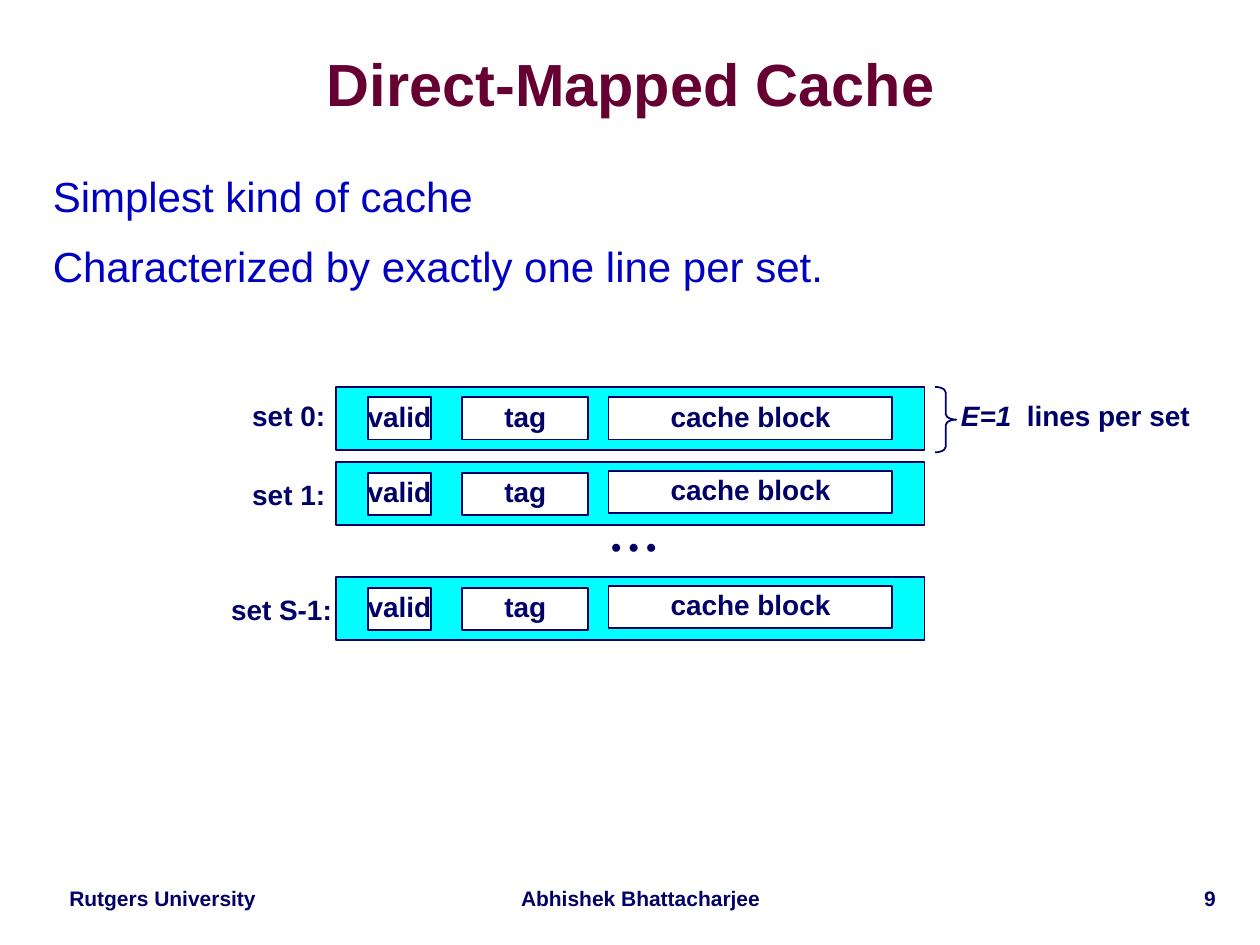
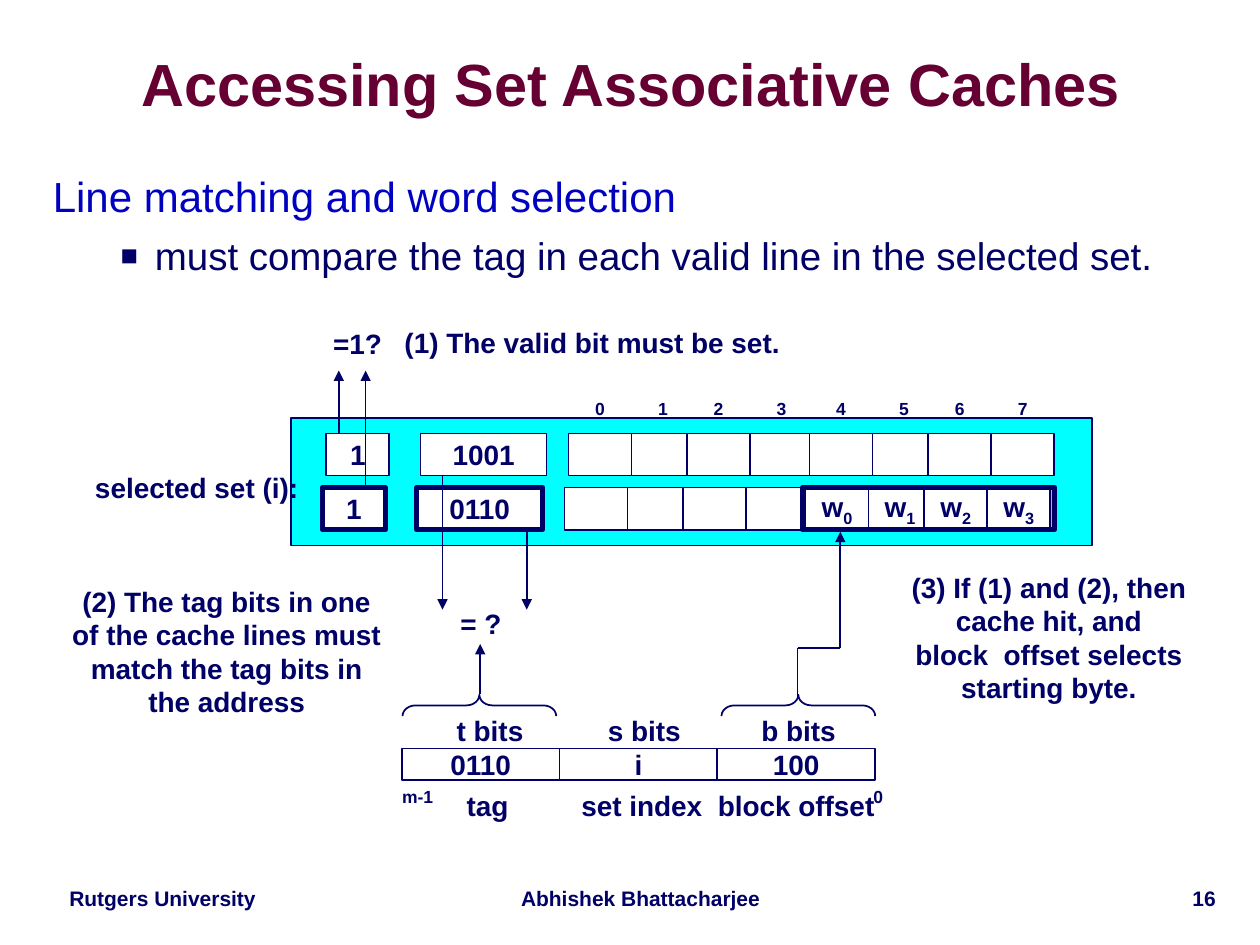
import pptx
import pptx.dml.color
import pptx.enum.shapes
import pptx.enum.text
import pptx.oxml.ns
import pptx.util

Cm, Pt = pptx.util.Cm, pptx.util.Pt
RGB = pptx.dml.color.RGBColor.from_string
SHAPE = pptx.enum.shapes.MSO_SHAPE
ALIGN = pptx.enum.text.PP_ALIGN
ANCHOR = pptx.enum.text.MSO_ANCHOR
NO_FIT = pptx.enum.text.MSO_AUTO_SIZE.NONE


class Theme:
    font = "Arial"
    navy = RGB("000066")
    maroon = RGB("660033")
    blue = RGB("0000C0")
    cyan = RGB("00FFFF")
    white = RGB("FFFFFF")
    title = Pt(34)
    body = Pt(24)
    sub = Pt(22)
    label = Pt(16)
    footer = Pt(12)
    small = Pt(10)
    thin = Pt(1)
    thick = Pt(3)


def put(s, box, text="", kind=None, fill=None, line=Theme.thin, size=Theme.label,
        align=ALIGN.CENTER, spacing=1.0, wrap=False):
    """Add a shape of the given kind, or a text box when kind is None.

    In text, a line break starts a paragraph and | starts a run.
    """
    box = [Cm(v) for v in box]
    if kind is None:
        sp = s.shapes.add_textbox(*box)
    else:
        sp = s.shapes.add_shape(kind, *box)
        sp.shadow.inherit = False
        sp.line.color.rgb = Theme.navy
        sp.line.width = line
        if fill is None:
            sp.fill.background()
        else:
            sp.fill.solid()
            sp.fill.fore_color.rgb = fill
    if text:
        tf = sp.text_frame
        tf.word_wrap = wrap
        tf.vertical_anchor = ANCHOR.MIDDLE
        for i, line_text in enumerate(text.split("\n")):
            p = tf.add_paragraph() if i else tf.paragraphs[0]
            p.alignment = align
            p.line_spacing = spacing
            for part in line_text.split("|"):
                r = p.add_run()
                r.text = part
                r.font.name, r.font.size, r.font.bold = Theme.font, size, True
                r.font.color.rgb = Theme.navy
    return sp


def connect(s, x1, y1, x2, y2, arrow=True):
    cx = s.shapes.add_connector(pptx.enum.shapes.MSO_CONNECTOR.STRAIGHT,
                                Cm(x1), Cm(y1), Cm(x2), Cm(y2))
    cx.line.color.rgb = Theme.navy
    cx.line.width = Theme.thin
    spPr = cx._element.spPr
    if arrow:
        ln = spPr.find(pptx.oxml.ns.qn("a:ln"))
        ln.append(ln.makeelement(pptx.oxml.ns.qn("a:tailEnd"), {"type": "triangle"}))
    spPr.append(spPr.makeelement(pptx.oxml.ns.qn("a:effectLst"), {}))


prs = pptx.Presentation()
prs.slide_width, prs.slide_height = Cm(25.4), Cm(19.05)

# Titles, lists and footers
pages = [
    ("Direct-Mapped Cache", "9",
     [(0, "Simplest kind of cache"),
      (0, "Characterized by exactly one line per set.")]),
    ("Accessing Set Associative Caches", "16",
     [(0, "Line matching and word selection"),
      (1, "must compare the tag in each valid line in the selected set.")]),
]
# per level: size, colour, line spacing, space before, left margin, first-line indent
levels = [(Theme.body, Theme.blue, 0.95, Pt(12.5), Cm(0), Cm(0)),
          (Theme.sub, Theme.navy, 1.0, Pt(6), Cm(2.06), Cm(-0.69))]

for title, number, items in pages:
    s = prs.slides.add_slide(prs.slide_layouts[1])

    sp = s.shapes.title
    sp.left, sp.top, sp.width, sp.height = Cm(0.79), Cm(0.69), Cm(23.85), Cm(2.16)
    tf = sp.text_frame
    tf.auto_size = NO_FIT
    tf.vertical_anchor = ANCHOR.MIDDLE
    tf.margin_left = tf.margin_right = tf.margin_top = tf.margin_bottom = 0
    p = tf.paragraphs[0]
    p.alignment = ALIGN.CENTER
    p.line_spacing = 0.87
    r = p.add_run()
    r.text = title
    r.font.name, r.font.size, r.font.bold = Theme.font, Theme.title, True
    r.font.color.rgb = Theme.maroon

    sp = s.placeholders[1]
    sp.left, sp.top, sp.width, sp.height = Cm(0.81), Cm(3.38), Cm(23.95), Cm(13.97)
    tf = sp.text_frame
    tf.auto_size = NO_FIT
    for i, (level, text) in enumerate(items):
        size, colour, spacing, before, margin, indent = levels[level]
        p = tf.add_paragraph() if i else tf.paragraphs[0]
        p.level = level
        p.line_spacing = spacing
        p.space_before = before if i else Pt(0)
        pPr = p._p.get_or_add_pPr()
        pPr.set("marL", str(margin))
        pPr.set("indent", str(indent))
        bullet = [("a:buSzPct", {"val": "75000"}), ("a:buChar", {"char": "■"})]
        for tag, attrs in bullet if level else [("a:buNone", {})]:
            pPr.append(pPr.makeelement(pptx.oxml.ns.qn(tag), attrs))
        r = p.add_run()
        r.text = text
        r.font.name, r.font.size = Theme.font, size
        r.font.color.rgb = colour

    for x, w, text, align in [(0.84, 4.88, "Rutgers University", ALIGN.CENTER),
                              (10.16, 5.51, "Abhishek Bhattacharjee", ALIGN.CENTER),
                              (20.75, 4.01, number, ALIGN.RIGHT)]:
        put(s, (x, 17.78, w, 0.71), text, size=Theme.footer, align=align,
            spacing=0.9, wrap=True)

direct, associative = prs.slides

# Direct-mapped cache: one line in each set
s = direct
cell_h = 0.85
# set top, block inset, label left, label top, label width, label
for top, block_dy, x, y, w, label in [(7.8, 0.21, 4.83, 7.95, 1.98, "set 0:"),
                                      (9.32, 0.17, 4.83, 9.53, 1.98, "set 1:"),
                                      (11.64, 0.17, 4.39, 11.86, 2.57, "set S-1:")]:
    put(s, (6.78, top, 11.86, 1.27), kind=SHAPE.RECTANGLE, fill=Theme.cyan)
    for left, dy, width, text in [(7.42, 0.21, 1.27, "valid"),
                                  (9.32, 0.21, 2.54, "tag"),
                                  (12.27, block_dy, 5.72, "cache block")]:
        put(s, (left, top + dy, width, cell_h), text, SHAPE.RECTANGLE, Theme.white,
            spacing=0.9)
    put(s, (x, y, w, 0.94), label, spacing=0.9)
put(s, (12.07, 10.59, 1.42, 0.94), "• • •", spacing=0.9)

brace = put(s, (18.85, 7.8, 0.43, 1.32), kind=SHAPE.RIGHT_BRACE)
brace.adjustments[0] = 0.258
sp = put(s, (19.1, 7.95, 5.16, 0.94), "E=1|  lines per set", spacing=0.9)
sp.text_frame.paragraphs[0].runs[0].font.italic = True

# Set associative cache: the selected set with its two lines
s = associative
put(s, (5.87, 8.43, 16.15, 2.57), kind=SHAPE.RECTANGLE, fill=Theme.cyan)
byte_x = [11.46 + half * 4.86 + dx for half in range(2) for dx in (0, 1.27, 2.39, 3.66)]
words = [""] * 4 + ["w|0", "w|1", "w|2", "w|3"]
for top, shift, tag, contents, border in [(9.83, -0.08, "0110", words, Theme.thick),
                                          (8.74, 0, "1001", [""] * 8, Theme.thin)]:
    for left, width, text in [(6.58, 1.27, "1"), (8.48, 2.54, tag)]:
        put(s, (left + shift, top, width, cell_h), text, SHAPE.RECTANGLE,
            Theme.white, border)
    for x, word in zip(byte_x, contents):
        sp = put(s, (x + shift, top, 1.27, cell_h), word, SHAPE.RECTANGLE, Theme.white)
        if word:
            r = sp.text_frame.paragraphs[0].runs[1]
            r._r.get_or_add_rPr().set("baseline", "-25000")
put(s, (16.18, 9.83, 5.08, cell_h), kind=SHAPE.RECTANGLE, line=Theme.thick)
for i, x in enumerate(byte_x):
    put(s, (x, 7.82, 1.27, cell_h), str(i), size=Theme.small)

# Address fields
for i, (bits, value, name) in enumerate([("t bits", "0110", "tag"),
                                         ("s bits", "i", "set index"),
                                         ("b bits", "100", "block offset")]):
    put(s, (8.1 + 3.18 * i, 15.09, 3.18, 0.64), value, SHAPE.RECTANGLE)
    put(s, (7.88 + 3.11 * i, 14.25, 4, 0.94), bits)
    put(s, (7.83 + 3.11 * i, 15.77, 4, 0.94), name)
put(s, (7.85, 15.72, 1.14, 0.69), "m-1", size=Theme.small)
put(s, (17.35, 15.72, 0.71, 0.69), "0", size=Theme.small)
for x in (9.45, 15.88):
    brace = put(s, (x, 12.67, 0.43, 3.1), kind=SHAPE.RIGHT_BRACE)
    brace.rotation = 270
    brace.adjustments[0] = 0.608

# Steps of the lookup
put(s, (1.63, 9.35, 4.67, 0.94), "selected set (i):")
put(s, (6.45, 6.45, 1.52, 0.94), "=1?")
put(s, (7.85, 6.43, 8.18, 0.94), "(1) The valid bit must be set.")
put(s, (9.02, 12.09, 1.35, 0.94), "= ?")
put(s, (0, 11.63, 9.14, 3), "(2) The tag bits in one\nof the cache lines must\n"
    "match the tag bits in\nthe address", wrap=True)
put(s, (17.12, 11.35, 8.05, 3), "(3) If (1) and (2), then\ncache hit, and\n"
    "block  offset selects\nstarting byte.", wrap=True)

for ends in [(6.83, 8.74, 6.83, 7.47), (7.37, 9.83, 7.37, 7.47),
             (8.92, 9.58, 8.92, 12.29), (10.62, 10.64, 10.62, 12.29),
             (9.68, 14, 9.68, 12.98), (16.94, 13.06, 16.94, 10.72)]:
    connect(s, *ends)
for ends in [(16.08, 14.1, 16.08, 13.06), (16.08, 13.06, 16.94, 13.06)]:
    connect(s, *ends, arrow=False)

prs.save("out.pptx")
